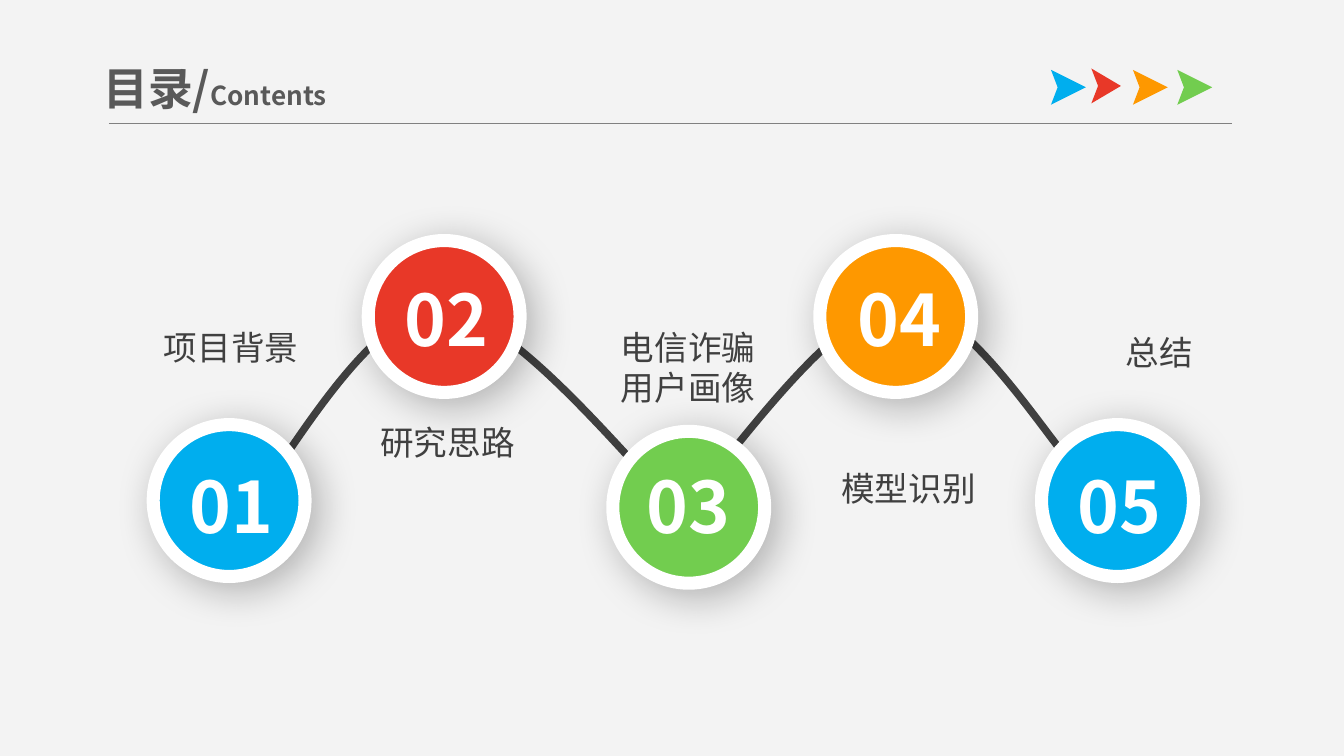
from pptx import Presentation
from pptx.dml.color import RGBColor
from pptx.enum.shapes import MSO_CONNECTOR, MSO_SHAPE
from pptx.enum.text import MSO_ANCHOR, MSO_AUTO_SIZE, PP_ALIGN
from pptx.oxml import parse_xml
from pptx.oxml.ns import nsdecls, qn
from pptx.oxml.xmlchemy import OxmlElement
from pptx.util import Inches, Pt

FONT = "Noto Sans CJK SC"
DARK = "404040"
WHITE = "FFFFFF"
BLUE = "00AEEE"
RED = "E83828"
GREEN = "72CD4F"
ORANGE = "FE9800"
DIAMETER = 1.13

STATIONS = [
    ("02", RED, 2.74, 1.79, 2.89, 2.01),
    ("03", GREEN, 4.56, 3.21, 4.69, 3.4),
    ("04", ORANGE, 6.1, 1.79, 6.26, 2.01),
    ("05", BLUE, 7.75, 3.16, 7.9, 3.4),
    ("01", BLUE, 1.14, 3.16, 1.29, 3.4),
]
LABELS = [
    ("项目背景", 0.98, 2.39, 1.48, 0.38),
    ("电信诈骗用户画像", 4.53, 2.39, 1.18, 0.68),
    ("模型识别", 6.17, 3.44, 1.18, 0.38),
    ("总结", 7.6, 2.43, 2.05, 0.38),
    ("研究思路", 2.74, 3.1, 1.18, 0.38),
]
WAVE = [
    (1.81, 3.83), (2.05, 3.58), (2.72, 2.3), (3.27, 2.3),
    (3.81, 2.3), (4.79, 3.58), (5.09, 3.83),
    (5.4, 4.08), (4.82, 4.05), (5.09, 3.78),
    (5.36, 3.52), (6.19, 2.28), (6.7, 2.26),
    (7.21, 2.24), (7.85, 3.38), (8.16, 3.67),
]
ARROWS = [
    (7.82, 0.52, 0.26, BLUE),
    (8.12, 0.51, 0.22, RED),
    (8.43, 0.52, 0.26, ORANGE),
    (8.76, 0.52, 0.26, GREEN),
]


def color(value):
    return RGBColor.from_string(value)


def style_paragraph(para, size, value, bold=False):
    font = para.font
    font.name = FONT
    font.size = Pt(size)
    font.bold = bold
    font.color.rgb = color(value)
    east_asian = OxmlElement("a:ea")
    east_asian.set("typeface", FONT)
    para._p.pPr.find(qn("a:defRPr")).append(east_asian)


def add_label(shapes, text, left, top, width, height, size=18, value=DARK, bold=False):
    box = shapes.add_textbox(Inches(left), Inches(top), Inches(width), Inches(height))
    frame = box.text_frame
    frame.word_wrap = True
    frame.auto_size = MSO_AUTO_SIZE.SHAPE_TO_FIT_TEXT
    frame.margin_left = frame.margin_right = Inches(0.07)
    frame.margin_top = frame.margin_bottom = Inches(0.04)
    para = frame.paragraphs[0]
    para.text = text
    para.alignment = PP_ALIGN.CENTER
    style_paragraph(para, size, value, bold)


def add_title(page):
    box = page.shapes.add_textbox(Inches(0.67), Inches(0.38), Inches(2.47), Inches(0.54))
    frame = box.text_frame
    frame.word_wrap = True
    frame.vertical_anchor = MSO_ANCHOR.MIDDLE
    para = frame.paragraphs[0]
    for text, size in (("目录/", 24), ("Contents", 14)):
        span = para.add_run()
        span.text = text
        span.font.size = Pt(size)
    style_paragraph(para, 24, "595959", True)


def add_rule(page):
    rule = page.shapes.add_connector(
        MSO_CONNECTOR.STRAIGHT, Inches(0.81), Inches(0.92), Inches(9.17), Inches(0.92))
    rule.line.color.rgb = color("808080")
    rule.line.width = Pt(0.75)
    rule._element.spPr.append(OxmlElement("a:effectLst"))


def add_outline(page, points, closed):
    corners = [(Inches(x), Inches(y)) for x, y in points]
    builder = page.shapes.build_freeform(*corners[0])
    builder.add_line_segments(corners[1:], close=closed)
    outline = builder.convert_to_shape()
    outline.shadow.inherit = False
    return outline


def add_wave(page):
    wave = add_outline(page, WAVE, False)
    wave.fill.background()
    wave.line.color.rgb = color(DARK)
    wave.line.width = Pt(4)
    segments = list(wave._element.iter(qn("a:lnTo")))
    for start in range(0, len(segments), 3):
        curve = OxmlElement("a:cubicBezTo")
        segments[start].addprevious(curve)
        for segment in segments[start:start + 3]:
            curve.append(segment[0])
            segment.getparent().remove(segment)


def add_arrow(page, left, top, width, value):
    points = [(left, top + 0.26), (left + 0.05, top + 0.13), (left, top), (left + width, top + 0.13)]
    arrow = add_outline(page, points, True)
    arrow.fill.solid()
    arrow.fill.fore_color.rgb = color(value)
    arrow.line.fill.background()


def add_soft_shadow(shape):
    shape.shadow.inherit = False
    effects = shape._element.spPr.find(qn("a:effectLst"))
    effects.append(parse_xml(
        f'<a:outerShdw {nsdecls("a")} blurRad="{Pt(22)}" dist="{Pt(6)}" dir="2700000" '
        'algn="tl" rotWithShape="0"><a:srgbClr val="000000"><a:alpha val="28000"/>'
        '</a:srgbClr></a:outerShdw>'))


def add_station(page, number, value, left, top, text_left, text_top):
    group = page.shapes.add_group_shape()
    disc = group.shapes.add_shape(
        MSO_SHAPE.OVAL, Inches(left), Inches(top), Inches(DIAMETER), Inches(DIAMETER))
    disc.fill.solid()
    disc.fill.fore_color.rgb = color(value)
    disc.line.color.rgb = color(WHITE)
    disc.line.width = Pt(7)
    add_soft_shadow(disc)
    add_label(group.shapes, number, text_left, text_top, 0.86, 0.69, 38, WHITE, True)


def main():
    deck = Presentation()
    deck.slide_width = Inches(10)
    deck.slide_height = Inches(10 * 9 / 16)
    page = deck.slides.add_slide(deck.slide_layouts[6])
    page.background.fill.solid()
    page.background.fill.fore_color.rgb = color("F3F3F3")
    add_title(page)
    add_rule(page)
    add_wave(page)
    for station in STATIONS:
        add_station(page, *station)
    for label in LABELS:
        add_label(page.shapes, *label)
    for arrow in ARROWS:
        add_arrow(page, *arrow)
    deck.save("out.pptx")


if __name__ == "__main__":
    main()
